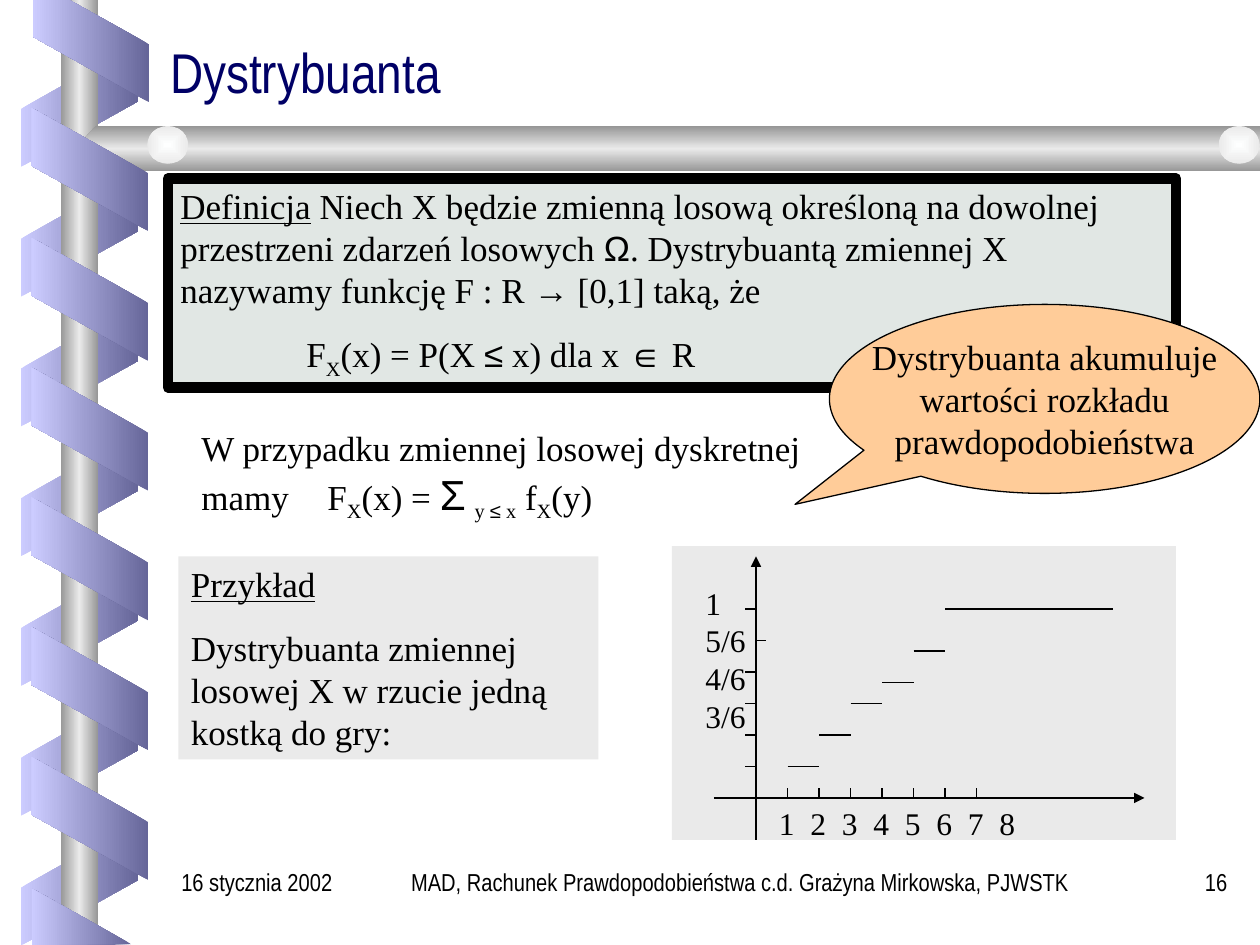
from lxml import etree
from pptx import Presentation
from pptx.dml.color import RGBColor as RGB
from pptx.enum.shapes import MSO_CONNECTOR as Conn, MSO_SHAPE as Kind
from pptx.enum.text import MSO_ANCHOR as Anchor, MSO_AUTO_SIZE as Auto, PP_ALIGN as Align
from pptx.oxml import parse_xml
from pptx.oxml.ns import nsdecls, qn
from pptx.util import Pt

HUE = {
    "ink": "000000", "title": "000066", "light": "CCCCFF", "dark": "666699",
    "steel": "969696", "shine": "EAEAEA", "knob": "FEFFFF",
    "box": "E1E7E4", "panel": "EAEAEA", "peach": "FFCC99",
}
TIMES, ARIAL, NARROW = "Times New Roman", "Arial", "Arial Narrow"
SUB = {"base": -25000}
SYM = {"name": ARIAL}
LINED = {"underline": True}


def shade(shape, names, path):
    """Fill with evenly spaced colours, along a line or from the centre."""
    stops = "".join(
        f'<a:gs pos="{100000 * i // (len(names) - 1)}"><a:srgbClr val="{HUE[n]}"/></a:gs>'
        for i, n in enumerate(names))
    shape.fill.background()
    props = shape._element.spPr
    props.replace(props.find(qn("a:noFill")), parse_xml(
        f'<a:gradFill {nsdecls("a")} rotWithShape="0"><a:gsLst>{stops}</a:gsLst>{path}</a:gradFill>'))
    shape.line.fill.background()
    shape.shadow.inherit = False


def write(shape, paras, size=20, face=TIMES, hue="ink", align=Align.LEFT,
          anchor=Anchor.TOP, wrap=True, gap=0):
    """Set paragraphs of (text, format) runs; a newline is a line break."""
    frame = shape.text_frame
    look = {"word_wrap": wrap, "vertical_anchor": anchor, "auto_size": Auto.NONE,
            "margin_left": Pt(7.2), "margin_right": Pt(7.2),
            "margin_top": Pt(3.6), "margin_bottom": Pt(3.6)}
    for key, val in look.items():
        setattr(frame, key, val)
    for i, runs in enumerate(paras):
        para = frame.add_paragraph() if i else frame.paragraphs[0]
        para.alignment = align
        para.space_before = Pt(gap if i else 0)
        for text, form in runs:
            for j, part in enumerate(text.split("\n")):
                if j:
                    para.add_line_break()
                run = para.add_run()
                run.text = part
                form_all = {"size": Pt(size), "name": face, **form}
                base = form_all.pop("base", None)
                for key, val in form_all.items():
                    setattr(run.font, key, val)
                run.font.color.rgb = RGB.from_string(HUE[hue])
                if base:
                    run.font._element.set("baseline", str(base))


deck = Presentation()
deck.slide_width, deck.slide_height = Pt(720), Pt(540)
slide = deck.slides.add_slide(deck.slide_layouts[5])
shapes = slide.shapes
ACROSS = '<a:lin ang="10800000" scaled="0"/>'
DOWN = '<a:lin ang="5400000" scaled="0"/>'
CENTRE = '<a:path path="rect"><a:fillToRect l="50000" t="50000" r="50000" b="50000"/></a:path>'
PITCH = 74.16

# Ribbon behind the pole
for i in range(7):
    band = shapes.add_shape(Kind.PARALLELOGRAM, Pt(10.08), Pt(26.64 + PITCH * i), Pt(70.56), Pt(66.96))
    band.adjustments[0] = 0.56
    band.rotation = 90
    band._element.spPr.find(qn("a:xfrm")).set("flipH", "1")
    shade(band, ["light", "dark"], ACROSS)

# Pole, rail and knobs
pole = shapes.add_shape(Kind.RECTANGLE, Pt(34.6), Pt(0), Pt(21.6), Pt(540))
shade(pole, ["steel", "shine", "steel"], ACROSS)
pen = shapes.build_freeform(Pt(720), Pt(72))
pen.add_line_segments([(Pt(x), Pt(y)) for x, y in [(54.7, 72), (43.2, 85), (54.7, 98), (720, 98)]])
shade(pen.convert_to_shape(), ["steel", "shine", "steel"], DOWN)
for x in (84.2, 696.4):
    knob = shapes.add_shape(Kind.OVAL, Pt(x), Pt(72), Pt(23.4), Pt(21.6))
    shade(knob, ["knob", "shine"], CENTRE)

# Ribbon in front, with its cut ends
for i in range(6):
    band = shapes.add_shape(Kind.PARALLELOGRAM, Pt(16.2), Pt(63.4 + PITCH * i), Pt(70.56), Pt(66.96))
    band.adjustments[0] = 0.56
    band.rotation = 270
    shade(band, ["dark", "light"], ACROSS)
ends = [
    [(18.7, 0), (18.7, 20.9), (85, 58.3), (85, 25.2), (39.6, 0)],
    [(74.9, 539.5), (18, 507.6), (18, 540)],
]
for first, *rest in ends:
    pen = shapes.build_freeform(Pt(first[0]), Pt(first[1]))
    pen.add_line_segments([(Pt(x), Pt(y)) for x, y in rest])
    shade(pen.convert_to_shape(), ["dark", "light"], ACROSS)

# Title
title = shapes.title
title.left, title.top, title.width, title.height = Pt(90), Pt(18), Pt(612), Pt(45)
write(title, [[("Dystrybuanta", {})]], 32, NARROW, "title", anchor=Anchor.BOTTOM)
title.text_frame.paragraphs[0].line_spacing = 0.8

# Definition, formula, callout and example
define = [
    [("Definicja", LINED),
     (" Niech X będzie zmienną losową określoną na dowolnej przestrzeni zdarzeń losowych ", {}),
     ("Ω", SYM), (". Dystrybuantą zmiennej X nazywamy funkcję F : R ", {}),
     ("→", SYM), (" [0,1] taką, że", {})],
    [("\t\tF", {}), ("X", SUB), ("(x) = P(X ", {}), ("≤", SYM), (" x) dla x ", {}),
     ("∈", SYM), (" R", {})],
]
sums = [[
    ("W przypadku zmiennej losowej dyskretnej mamy\tF", {}), ("X", SUB), ("(x) = ", {}),
    ("Σ", {"name": ARIAL, "size": Pt(24)}), (" ", {}), ("y ", SUB), ("≤", {**SYM, **SUB}),
    (" x", SUB), (" f", {}), ("X", SUB), ("(y)", {}),
]]
hint = [[("Dystrybuanta akumuluje\nwartości rozkładu\nprawdopodobieństwa", {})]]
sample = [[("Przykład", LINED)],
          [("Dystrybuanta zmiennej losowej X w rzucie jedną kostką do gry:", {})]]
mid = {"align": Align.CENTER, "anchor": Anchor.MIDDLE, "wrap": False}
blocks = [
    (Kind.RECTANGLE, (96, 102, 576, 119.5), "box", 6, define, {"gap": 12.5}),
    (None, (108, 240, 378, 62.6), None, 0, sums, {}),
    (Kind.OVAL_CALLOUT, (474, 174, 246, 108), "peach", 0.75, hint, mid),
    (Kind.RECTANGLE, (102, 318, 240, 116), "panel", 0, sample, {"gap": 12.5}),
]
for kind, area, fill, edge, paras, form in blocks:
    area = [Pt(v) for v in area]
    if kind is None:
        block = shapes.add_textbox(*area)
    else:
        block = shapes.add_shape(kind, *area)
        block.shadow.inherit = False
        block.fill.solid()
        block.fill.fore_color.rgb = RGB.from_string(HUE[fill])
        if edge:
            block.line.width = Pt(edge)
            block.line.color.rgb = RGB.from_string(HUE["ink"])
        else:
            block.line.fill.background()
    if kind == Kind.OVAL_CALLOUT:
        block.adjustments[0], block.adjustments[1] = -0.58, 0.558
    write(block, paras, **form)

# Step plot: panel, axes, ticks and steps
plot = shapes.add_group_shape().shapes
panel = plot.add_shape(Kind.RECTANGLE, Pt(384), Pt(312), Pt(288), Pt(168))
panel.shadow.inherit = False
panel.fill.solid()
panel.fill.fore_color.rgb = RGB.from_string(HUE["panel"])
panel.line.fill.background()
axes = [(408, 456, 654, 456), (432, 480, 432, 318)]
ticks = [(450 + 18 * i, 456, 450 + 18 * i, 450) for i in range(7)]
ticks += [(432, y, 438 if y == 366 else 426, y) for y in range(438, 347, -18)]
steps = [(450 + 18 * i, y, 468 + 18 * i, y) for i, y in enumerate([438, 420, 402, 390, 372])]
steps.append((540, 348, 636, 348))
for ends in axes + ticks + steps:
    line = plot.add_connector(Conn.STRAIGHT, *[Pt(v) for v in ends])
    line.line.width = Pt(0.75)
    line.line.color.rgb = RGB.from_string(HUE["ink"])
    props = line._element.spPr
    if ends in axes:
        etree.SubElement(props.find(qn("a:ln")), qn("a:tailEnd")).set("type", "triangle")
    etree.SubElement(props, qn("a:effectLst"))

# Axis labels
high = plot.add_textbox(Pt(396), Pt(330), Pt(72), Pt(93.6))
write(high, [[("1\n5/6\n4/6\n3/6", {})]], 18)
wide = plot.add_textbox(Pt(438), Pt(456), Pt(258), Pt(28.8))
write(wide, [[("\t".join(str(n) for n in range(1, 9)), {})]], 18)
stops = etree.SubElement(wide.text_frame.paragraphs[0]._p.get_or_add_pPr(), qn("a:tabLst"))
for i in range(1, 8):
    stop = etree.SubElement(stops, qn("a:tab"))
    stop.set("pos", str(Pt(18 * i)))
    stop.set("algn", "l")

# Footer
foot = [
    (186, 474, "MAD, Rachunek Prawdopodobieństwa c.d. Grażyna Mirkowska, PJWSTK", Align.CENTER),
    (648, 60.5, "16", Align.RIGHT),
    (96.5, 101.5, "16 stycznia 2002", Align.LEFT),
]
for x, w, text, align in foot:
    note = shapes.add_textbox(Pt(x), Pt(492), Pt(w), Pt(36))
    write(note, [[(text, {})]], 14, NARROW, align=align)

deck.save("out.pptx")
